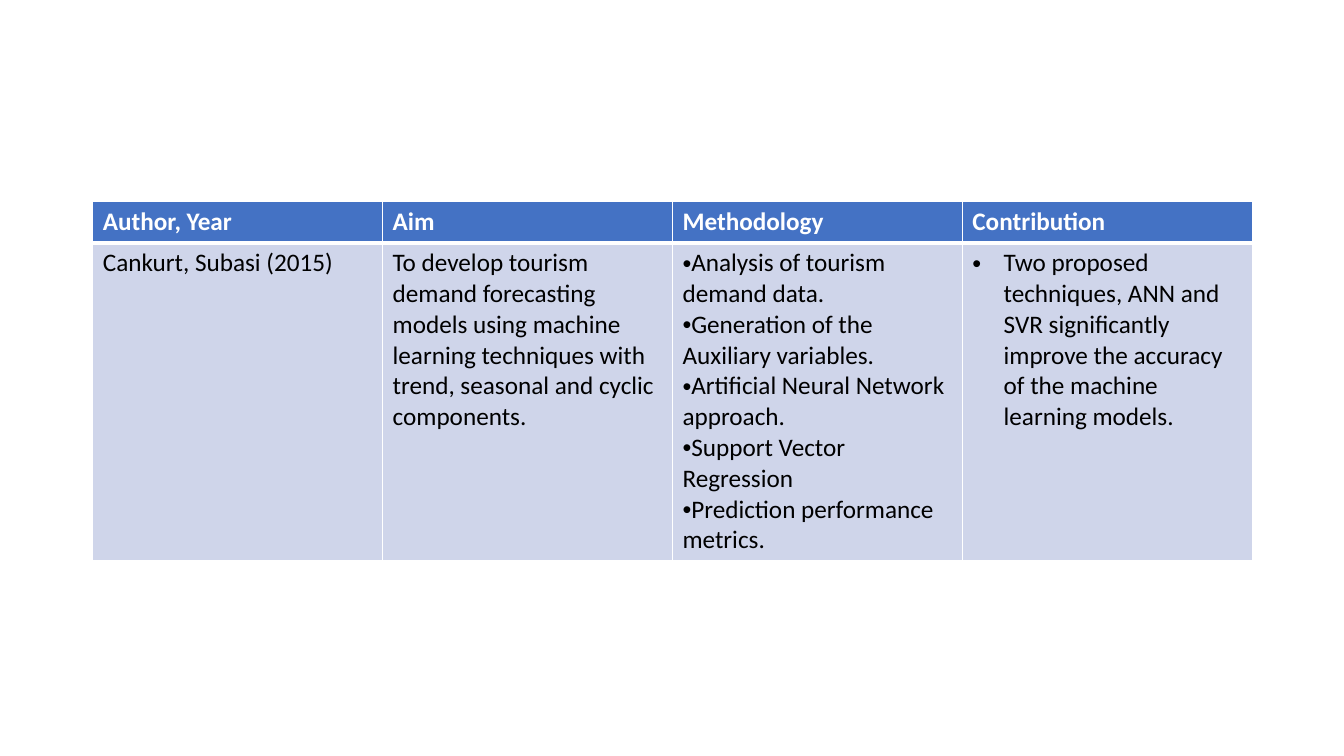
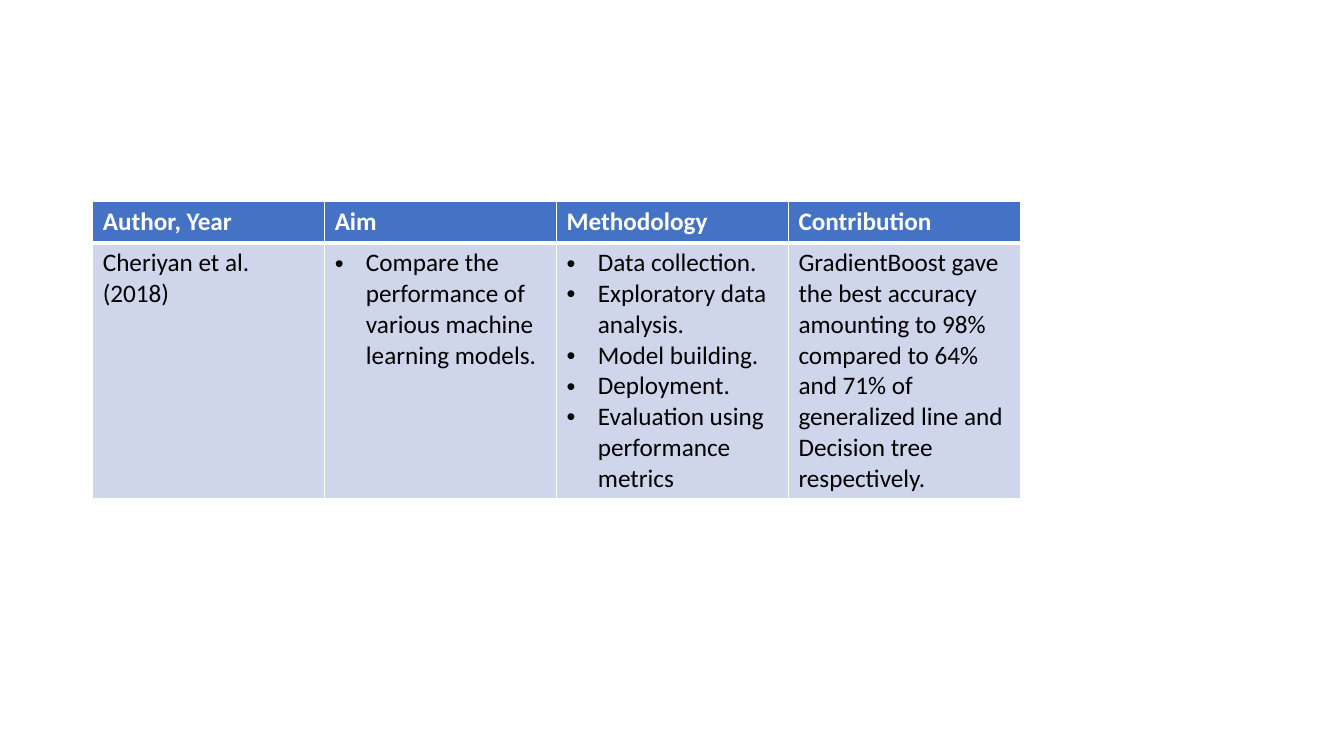
from lxml import etree
from pptx import Presentation
from pptx.dml.color import RGBColor
from pptx.oxml import ns
from pptx.util import Inches, Pt

FONT, SIZE = "Calibri", 18
WHITE, BLACK, BLUE, PALE = "FFFFFF", "000000", "4472C4", "CFD5EA"
HEADINGS = ["Author, Year", "Aim", "Methodology", "Contribution"]
HEADER_H = 0.41
THIN, THICK = 1, 3
PLAIN, TIGHT, HANGING = None, 0, 0.31

STUDIES = [
    ((0.92, 2, 11.5, 3.51), [
        (PLAIN, ["Cankurt, Subasi (2015)"]),
        (PLAIN, ["To develop tourism demand forecasting models using machine "
                 "learning techniques with trend, seasonal and cyclic components."]),
        (TIGHT, ["Analysis of tourism demand data.",
                 "Generation of the Auxiliary variables.",
                 "Artificial Neural Network approach.",
                 "Support Vector Regression",
                 "Prediction performance metrics."]),
        (HANGING, ["Two proposed techniques, ANN and SVR significantly improve "
                   "the accuracy of the machine learning models."]),
    ]),
    ((0.92, 2, 9.2, 2.91), [
        (PLAIN, ["Cheriyan et al. (2018)"]),
        (HANGING, ["Compare the performance of various machine learning models."]),
        (HANGING, ["Data collection.", "Exploratory data analysis.",
                   "Model building.", "Deployment.",
                   "Evaluation using performance metrics"]),
        (PLAIN, ["GradientBoost gave the best accuracy amounting to 98% compared "
                 "to 64% and 71% of generalized line and Decision tree respectively."]),
    ]),
]


def rgb(value):
    """Turn a hex string into a colour."""
    return RGBColor.from_string(value)


def set_borders(cell, top, bottom):
    """Draw white borders with the given top and bottom widths."""
    tcPr = cell._tc.get_or_add_tcPr()
    for side, width in zip("LRTB", (THIN, THIN, top, bottom)):
        ln = etree.SubElement(tcPr, ns.qn(f"a:ln{side}"), w=str(Pt(width)))
        fill = etree.SubElement(ln, ns.qn("a:solidFill"))
        etree.SubElement(fill, ns.qn("a:srgbClr"), val=WHITE)


def set_bullet(p, indent):
    """Give a paragraph a bullet with a hanging indent in inches."""
    pPr = p._p.get_or_add_pPr()
    pPr.set("marL", str(Inches(indent)))
    pPr.set("indent", str(-Inches(indent)))
    etree.SubElement(pPr, ns.qn("a:buFont"), typeface="Arial")
    etree.SubElement(pPr, ns.qn("a:buChar"), char="•")


def fill_cell(cell, lines, fill, color, bold=False, indent=PLAIN):
    """Fill a cell with colour and one paragraph per line."""
    cell.fill.solid()
    cell.fill.fore_color.rgb = rgb(fill)
    tf = cell.text_frame
    for i, line in enumerate(lines):
        p = tf.add_paragraph() if i else tf.paragraphs[0]
        if indent is not PLAIN:
            set_bullet(p, indent)
        r = p.add_run()
        r.text = line
        r.font.name, r.font.size = FONT, Pt(SIZE)
        r.font.bold = bold
        r.font.color.rgb = rgb(color)


def add_study_table(s, box, study):
    """Place a study table with a heading row in the given box."""
    left, top, width, height = box
    table = s.shapes.add_table(2, len(HEADINGS), Inches(left), Inches(top),
                               Inches(width), Inches(height)).table
    table.rows[0].height = Inches(HEADER_H)
    table.rows[1].height = Inches(height - HEADER_H)
    for c, (heading, (indent, lines)) in enumerate(zip(HEADINGS, study)):
        table.columns[c].width = Inches(width / len(HEADINGS))
        head, body = table.cell(0, c), table.cell(1, c)
        set_borders(head, THIN, THICK)
        set_borders(body, THICK, THIN)
        fill_cell(head, [heading], BLUE, WHITE, bold=True)
        fill_cell(body, lines, PALE, BLACK, indent=indent)


def main():
    """Build one slide per study and save the deck."""
    prs = Presentation()
    prs.slide_width, prs.slide_height = Inches(13.33), Inches(7.5)
    for box, study in STUDIES:
        s = prs.slides.add_slide(prs.slide_layouts[6])
        add_study_table(s, box, study)
    prs.save("out.pptx")


if __name__ == "__main__":
    main()
